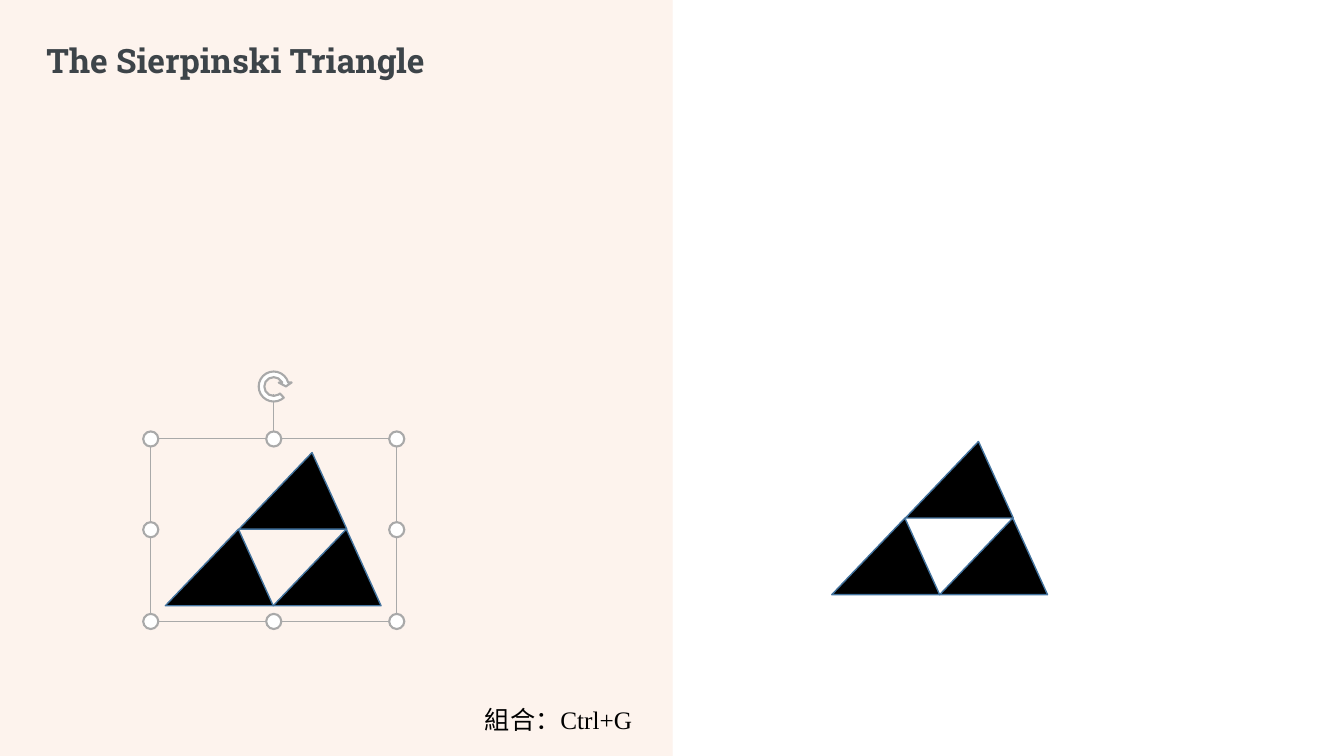
from typing import NamedTuple, Optional

from lxml import etree
from pptx import Presentation
from pptx.dml.color import RGBColor
from pptx.enum.shapes import MSO_CONNECTOR, MSO_SHAPE
from pptx.enum.text import MSO_ANCHOR, MSO_AUTO_SIZE, PP_ALIGN
from pptx.oxml.ns import qn
from pptx.util import Emu, Pt

RECT = MSO_SHAPE.RECTANGLE
ROUND_RECT = MSO_SHAPE.ROUNDED_RECTANGLE
TRIANGLE = MSO_SHAPE.ISOSCELES_TRIANGLE
OVAL = MSO_SHAPE.OVAL
CIRCULAR_ARROW = MSO_SHAPE.CIRCULAR_ARROW
STRAIGHT = MSO_CONNECTOR.STRAIGHT
MIDDLE = MSO_ANCHOR.MIDDLE
NO_AUTOFIT = MSO_AUTO_SIZE.NONE
LEFT, RIGHT = PP_ALIGN.LEFT, PP_ALIGN.RIGHT

PEACH = RGBColor(0xF4, 0xB1, 0x83)
PALE_PEACH = RGBColor(0xFB, 0xE5, 0xD6)
SLATE = RGBColor(0x3D, 0x44, 0x49)
BLUE = RGBColor(0x43, 0x73, 0x9E)
GRAY = RGBColor(0xA9, 0xA9, 0xA9)
BLACK = RGBColor(0, 0, 0)
WHITE = RGBColor(0xFF, 0xFF, 0xFF)

EMU_PER_PX = 9144  # 100 px to the inch


class Box(NamedTuple):
    x: int
    y: int
    w: int
    h: int


class Style(NamedTuple):
    fill: Optional[RGBColor] = None
    line: Optional[RGBColor] = None
    width: float = 1


SOLID = Style(BLACK, BLUE, 1)
OUTLINE = Style(None, GRAY, 0.5)
HANDLE = Style(WHITE, GRAY, 1.5)

# Three small triangles, offset from the corner of the big one
PIECE_W, PIECE_H, APEX = 107, 76, 0.678
PIECES = [(0, PIECE_H), (73, 0), (PIECE_W, PIECE_H)]

FRAME = Box(149, 435, 244, 181)
HANDLE_SIZE = 15


def px(value: int) -> Emu:
    return Emu(value * EMU_PER_PX)


def set_alpha(fill, percent: int) -> None:
    """Make the solid fill under the given XML element translucent."""
    color = fill.find(".//" + qn("a:srgbClr"))
    etree.SubElement(color, qn("a:alpha"), val=str(percent * 1000))


def add_shape(shapes, kind, box: Box, style: Style, adjust=()):
    sp = shapes.add_shape(kind, *map(px, box))
    sp.shadow.inherit = False
    for i, value in enumerate(adjust):
        sp.adjustments[i] = value
    if style.fill is None:
        sp.fill.background()
    else:
        sp.fill.solid()
        sp.fill.fore_color.rgb = style.fill
    if style.line is None:
        sp.line.fill.background()
    else:
        sp.line.color.rgb = style.line
        sp.line.width = Pt(style.width)
    return sp


def add_line(shapes, x1: int, y1: int, x2: int, y2: int, style: Style):
    cxn = shapes.add_connector(STRAIGHT, px(x1), px(y1), px(x2), px(y2))
    cxn.line.color.rgb = style.line
    cxn.line.width = Pt(style.width)
    etree.SubElement(cxn.element.spPr, qn("a:effectLst"))
    return cxn


def set_text(sp, text: str, *, font: str, size: float, color: RGBColor,
             bold: bool = False, align=LEFT, spacing: float = 1.0) -> None:
    tf = sp.text_frame
    tf.word_wrap = True
    tf.auto_size = NO_AUTOFIT
    tf.vertical_anchor = MIDDLE
    p = tf.paragraphs[0]
    p.alignment = align
    p.line_spacing = spacing
    r = p.add_run()
    r.text = text
    r.font.name = font
    r.font.size = Pt(size)
    r.font.bold = bold
    r.font.color.rgb = color


def add_sierpinski(shapes, x: int, y: int) -> None:
    group = shapes.add_group_shape().shapes
    for dx, dy in PIECES:
        box = Box(x + dx, y + dy, PIECE_W, PIECE_H)
        add_shape(group, TRIANGLE, box, SOLID, [APEX])


def add_selection(shapes, frame: Box) -> None:
    group = shapes.add_group_shape().shapes
    add_shape(group, RECT, frame, OUTLINE)
    half = HANDLE_SIZE // 2
    # Handles on the corners and edge middles
    for row in range(3):
        for col in range(3):
            if (row, col) != (1, 1):
                box = Box(frame.x + col * frame.w // 2 - half,
                          frame.y + row * frame.h // 2 - half,
                          HANDLE_SIZE, HANDLE_SIZE)
                add_shape(group, OVAL, box, HANDLE)
    # Rotation handle
    middle = frame.x + frame.w // 2
    add_line(group, middle, frame.y - half, middle, 391, OUTLINE)
    add_shape(group, CIRCULAR_ARROW, Box(253, 365, 37, 37), HANDLE,
              [0.151, 11.194, 204.552, 28.68, 0.173])


def main() -> None:
    prs = Presentation()
    prs.slide_width, prs.slide_height = px(1333), px(750)
    slide = prs.slides.add_slide(prs.slide_layouts[5])
    shapes = slide.shapes

    # Tinted left half and its edge
    panel = add_shape(shapes, RECT, Box(0, 0, 667, 750), Style(PEACH))
    set_alpha(panel.element.spPr, 14)
    edge = add_line(shapes, 667, 750, 667, 0, Style(None, PALE_PEACH, 0.25))
    set_alpha(edge.element.spPr, 50)

    # Title, brought in front of the panel
    title = shapes.title
    shapes.element.append(title.element)
    title.left, title.top, title.width, title.height = map(
        px, Box(36, 40, 595, 44))
    set_text(title, "The Sierpinski Triangle", font="Roboto Slab", size=24,
             color=SLATE, bold=True, spacing=0.9)

    # Selected triangle on the left, result on the right
    add_sierpinski(shapes, 164, 449)
    add_selection(shapes, FRAME)
    hint = add_shape(shapes, ROUND_RECT, Box(468, 691, 171, 45), Style())
    set_text(hint, "組合：Ctrl+G", font="Times New Roman", size=18,
             color=BLACK, align=RIGHT)
    add_sierpinski(shapes, 825, 438)

    prs.save("out.pptx")


if __name__ == "__main__":
    main()
